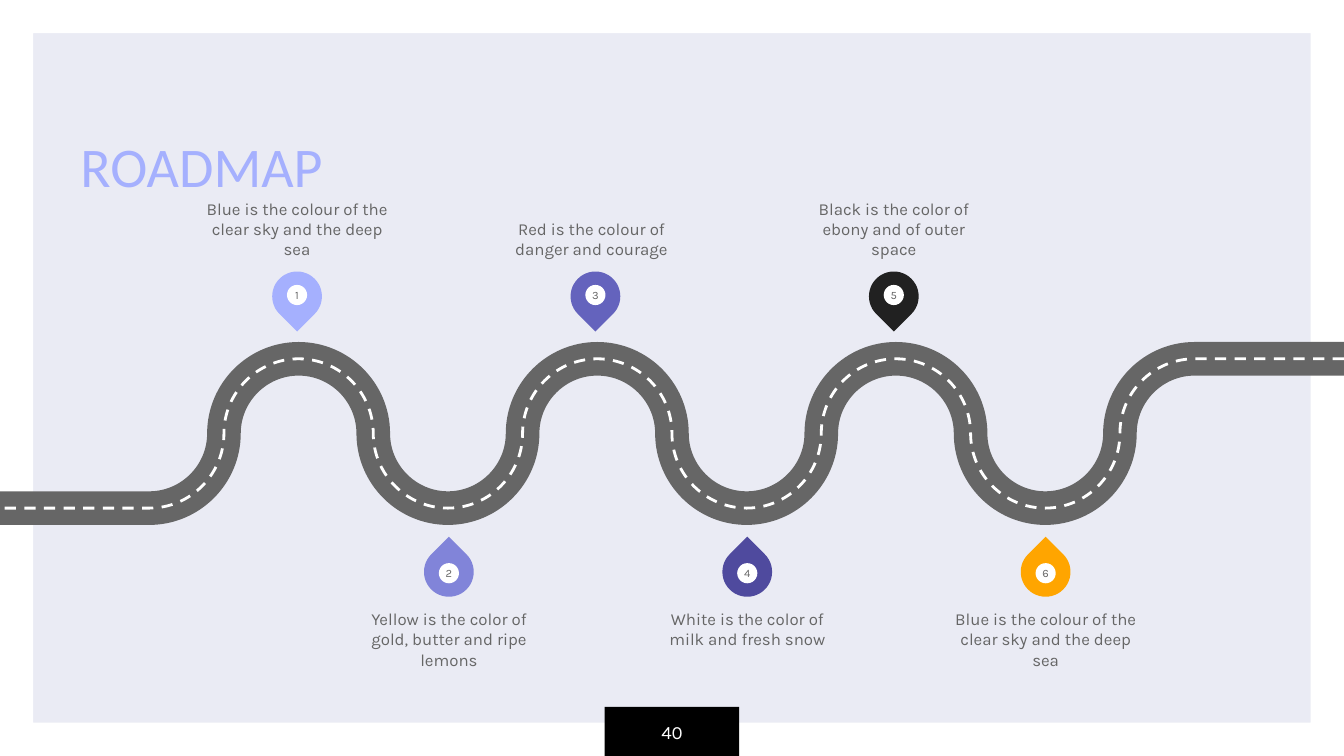
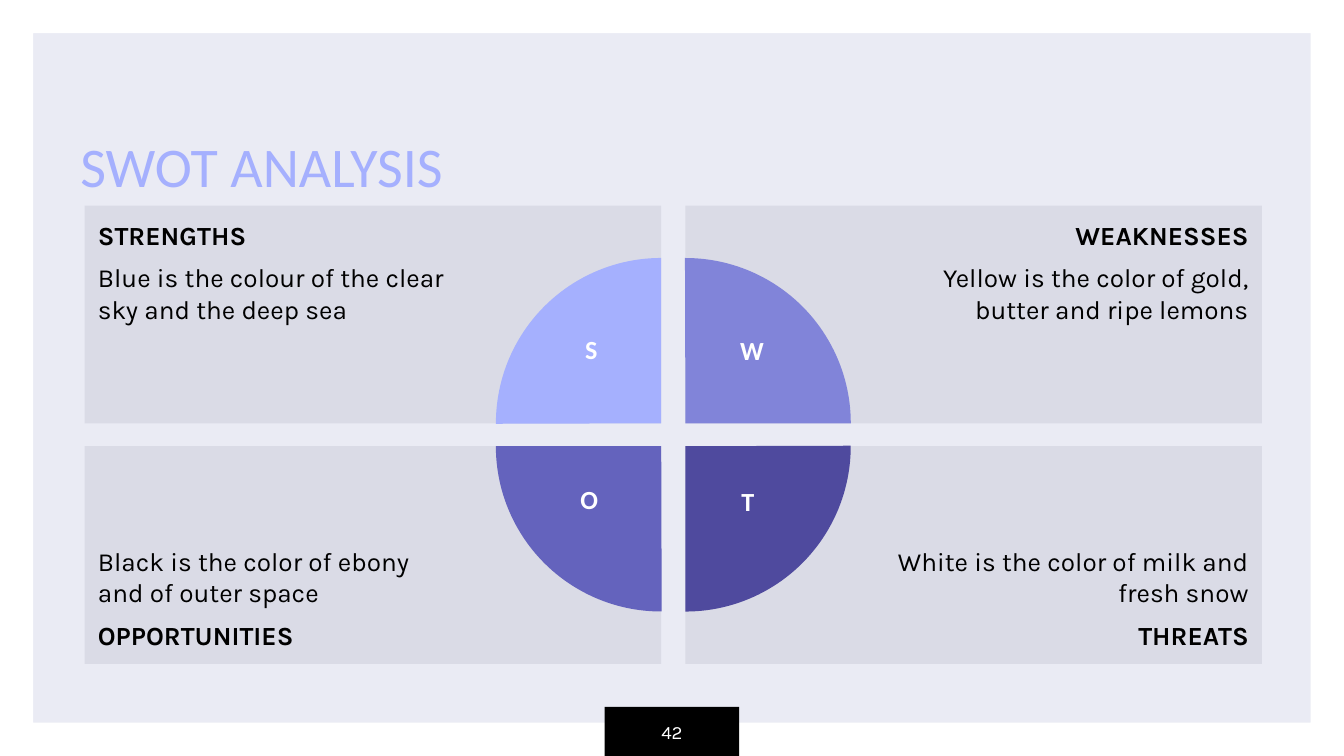
from lxml.etree import SubElement
from pptx import Presentation
from pptx.dml.color import RGBColor
from pptx.enum.dml import MSO_LINE
from pptx.enum.shapes import MSO_SHAPE
from pptx.enum.text import MSO_ANCHOR, PP_ALIGN
from pptx.oxml.ns import qn
from pptx.util import Inches, Pt

WIDTH, HEIGHT = 10, 5.625
BODY_FONT, TITLE_FONT = "Karla", "Calibri"
LAVENDER = RGBColor(0xEA, 0xEB, 0xF4)
PANEL = RGBColor(0xDA, 0xDB, 0xE6)
WHITE = RGBColor(0xFF, 0xFF, 0xFF)
BLACK = RGBColor(0x00, 0x00, 0x00)
GREY = RGBColor(0x66, 0x66, 0x66)
PERIWINKLE = RGBColor(0xA5, 0xB0, 0xFE)
VIOLET = RGBColor(0x81, 0x84, 0xD9)
INDIGO = RGBColor(0x64, 0x63, 0xBD)
PURPLE = RGBColor(0x4F, 0x4A, 0x9E)
CHARCOAL = RGBColor(0x21, 0x21, 0x21)
ORANGE = RGBColor(0xFF, 0xA5, 0x00)

MILESTONES = [
    ("Blue is the colour of the clear sky and the deep sea", PERIWINKLE, 0),
    ("Yellow is the color of gold, butter and ripe lemons", VIOLET, 0),
    ("Red is the colour of danger and courage", INDIGO, -0.03),
    ("White is the color of milk and fresh snow", PURPLE, 0),
    ("Black is the color of ebony and of outer space", CHARCOAL, 0),
    ("Blue is the colour of the clear sky and the deep sea", ORANGE, 0),
]
SWOT = [
    ("STRENGTHS", "Blue is the colour of the clear sky and the deep sea",
     "S", PERIWINKLE, 0, (4.26, 2.43, 0.28)),
    ("WEAKNESSES", "Yellow is the color of gold, butter and ripe lemons",
     "W", VIOLET, 90, (5.29, 2.44, 0.61)),
    ("OPPORTUNITIES", "Black is the color of ebony and of outer space",
     "O", INDIGO, 270, (4.22, 3.55, 0.33)),
    ("THREATS", "White is the color of milk and fresh snow",
     "T", PURPLE, 180, (5.41, 3.56, 0.31)),
]


def add_shape(shapes, kind, x, y, w, h, color):
    sp = shapes.add_shape(kind, Inches(x), Inches(y), Inches(w), Inches(h))
    sp.shadow.inherit = False
    sp.fill.solid()
    sp.fill.fore_color.rgb = color
    sp.line.fill.background()
    return sp


def add_box(s, x, y, w, h):
    return s.shapes.add_textbox(Inches(x), Inches(y), Inches(w), Inches(h))


def write(sp, lines, size, color, font=BODY_FONT, bold=(), align=PP_ALIGN.LEFT,
          anchor=MSO_ANCHOR.TOP, insets=(0, 0, 0, 0)):
    tf = sp.text_frame
    tf.text = "\n".join(lines)
    tf.word_wrap = True
    tf.vertical_anchor = anchor
    tf.margin_left, tf.margin_top, tf.margin_right, tf.margin_bottom = map(Inches, insets)
    for i, p in enumerate(tf.paragraphs):
        p.alignment = align
        if i:
            p.space_before = p.space_after = Pt(6)
        for r in p.runs:
            r.font.name = font
            r.font.size = Pt(size)
            r.font.bold = lines[i] in bold
            r.font.color.rgb = color


def add_slide(prs, title, number):
    s = prs.slides.add_slide(prs.slide_layouts[6])
    s.background.fill.solid()
    s.background.fill.fore_color.rgb = LAVENDER
    frame = add_shape(s.shapes, MSO_SHAPE.FRAME, 0, 0, WIDTH, HEIGHT, WHITE)
    frame.adjustments[0] = 0.044
    add_shape(s.shapes, MSO_SHAPE.RECTANGLE, 4.5, 5.26, 1, 0.37, BLACK)
    write(add_box(s, 0.5, 0.64, 5.62, 0.94), [title], 30, PERIWINKLE, TITLE_FONT,
          anchor=MSO_ANCHOR.BOTTOM, insets=(0.1,) * 4)
    write(add_box(s, 4.5, 5.26, 1, 0.37), [str(number)], 10, WHITE,
          align=PP_ALIGN.CENTER, anchor=MSO_ANCHOR.MIDDLE, insets=(0.1,) * 4)
    return s


def road_curves(pitch):
    radius, pull = pitch / 2, 0.55
    curves = []
    for bend in range(8, 1, -1):
        x, side_x, next_x = bend * pitch, (bend - 0.5) * pitch, (bend - 1) * pitch
        y, next_y = (0, pitch) if bend % 2 == 0 else (pitch, 0)
        lean = pull * (y - radius)
        curves.append([(x - pull * radius, y), (side_x, radius + lean), (side_x, radius)])
        curves.append([(side_x, radius - lean), (next_x + pull * radius, next_y),
                       (next_x, next_y)])
    return curves


def add_road(s, pitch, top, color, width, dash=None):
    builder = s.shapes.build_freeform(Inches(WIDTH), Inches(top))
    builder.add_line_segments([(Inches(8 * pitch), Inches(top)),
                               (Inches(pitch), Inches(top + pitch)),
                               (0, Inches(top + pitch))], close=False)
    road = builder.convert_to_shape()
    outline = road.element.find(".//" + qn("a:path"))
    straight, end = list(outline)[-2:]
    outline.remove(straight)
    for curve in road_curves(pitch):
        bezier = SubElement(outline, qn("a:cubicBezTo"))
        for x, y in curve:
            SubElement(bezier, qn("a:pt"), x=str(Inches(x)), y=str(Inches(y)))
    outline.append(end)
    road.shadow.inherit = False
    road.fill.background()
    road.line.color.rgb = color
    road.line.width = Pt(width)
    if dash:
        road.line.dash_style = dash


def build_roadmap(prs):
    s = add_slide(prs, "ROADMAP", 40)
    pitch, top = WIDTH / 9, 2.67
    pin, dot, label, step = 0.37, 0.15, 1.41, 2.22
    add_road(s, pitch, top, GREY, 18)
    add_road(s, pitch, top, WHITE, 1.5, MSO_LINE.DASH)
    for i, (text, color, nudge) in enumerate(MILESTONES):
        above = i % 2 == 0
        x = (2.21 if above else 3.34) + i // 2 * step
        pin_y, dot_y, label_y = (2.02, 2.12, 1.35) if above else (4.07, 4.19, 4.53)
        marker = s.shapes.add_group_shape().shapes
        drop = add_shape(marker, MSO_SHAPE.TEAR, x - pin / 2, pin_y, pin, pin, color)
        drop.rotation = 135 if above else 315
        disc = add_shape(marker, MSO_SHAPE.OVAL, x - dot / 2, dot_y, dot, dot, WHITE)
        write(disc, [str(i + 1)], 6, GREY, align=PP_ALIGN.CENTER, anchor=MSO_ANCHOR.MIDDLE)
        write(add_box(s, x - label / 2 + nudge, label_y, label, 0.58), [text], 9, GREY,
              align=PP_ALIGN.CENTER,
              anchor=MSO_ANCHOR.BOTTOM if above else MSO_ANCHOR.TOP)


def build_swot(prs):
    s = add_slide(prs, "SWOT ANALYSIS", 42)
    left, top, w, h, radius = 0.63, 1.53, 4.29, 1.62, 1.23
    col_step, row_step = 4.47, 1.79
    wedges = []
    for i, (heading, text, letter, color, turn, spot) in enumerate(SWOT):
        row, col = divmod(i, 2)
        x, y = left + col * col_step, top + row * row_step
        panel = add_shape(s.shapes, MSO_SHAPE.RECTANGLE, x, y, w, h, PANEL)
        write(panel, [text, heading] if row else [heading, text], 14, BLACK, bold=(heading,),
              align=PP_ALIGN.RIGHT if col else PP_ALIGN.LEFT,
              anchor=MSO_ANCHOR.BOTTOM if row else MSO_ANCHOR.TOP,
              insets=(1.5, 0.1, 0.1, 0.1) if col else (0.1, 0.1, 1.5, 0.1))
        wedges.append((x + w * (1 - col), y + h * (1 - row), color, turn))
    for x, y, color, turn in wedges:
        pie = add_shape(s.shapes, MSO_SHAPE.PIE, x - radius, y - radius,
                        2 * radius, 2 * radius, color)
        pie.adjustments[0], pie.adjustments[1] = 107.89, 162
        pie.rotation = turn
    for _, _, letter, _, _, (x, y, box_w) in SWOT:
        write(add_box(s, x, y, box_w, 0.46), [letter], 14, WHITE, TITLE_FONT,
              bold=(letter,), align=PP_ALIGN.CENTER, insets=(0, 0.05, 0, 0.05))


def main():
    prs = Presentation()
    prs.slide_width, prs.slide_height = Inches(WIDTH), Inches(HEIGHT)
    build_roadmap(prs)
    build_swot(prs)
    prs.save("out.pptx")


if __name__ == "__main__":
    main()
